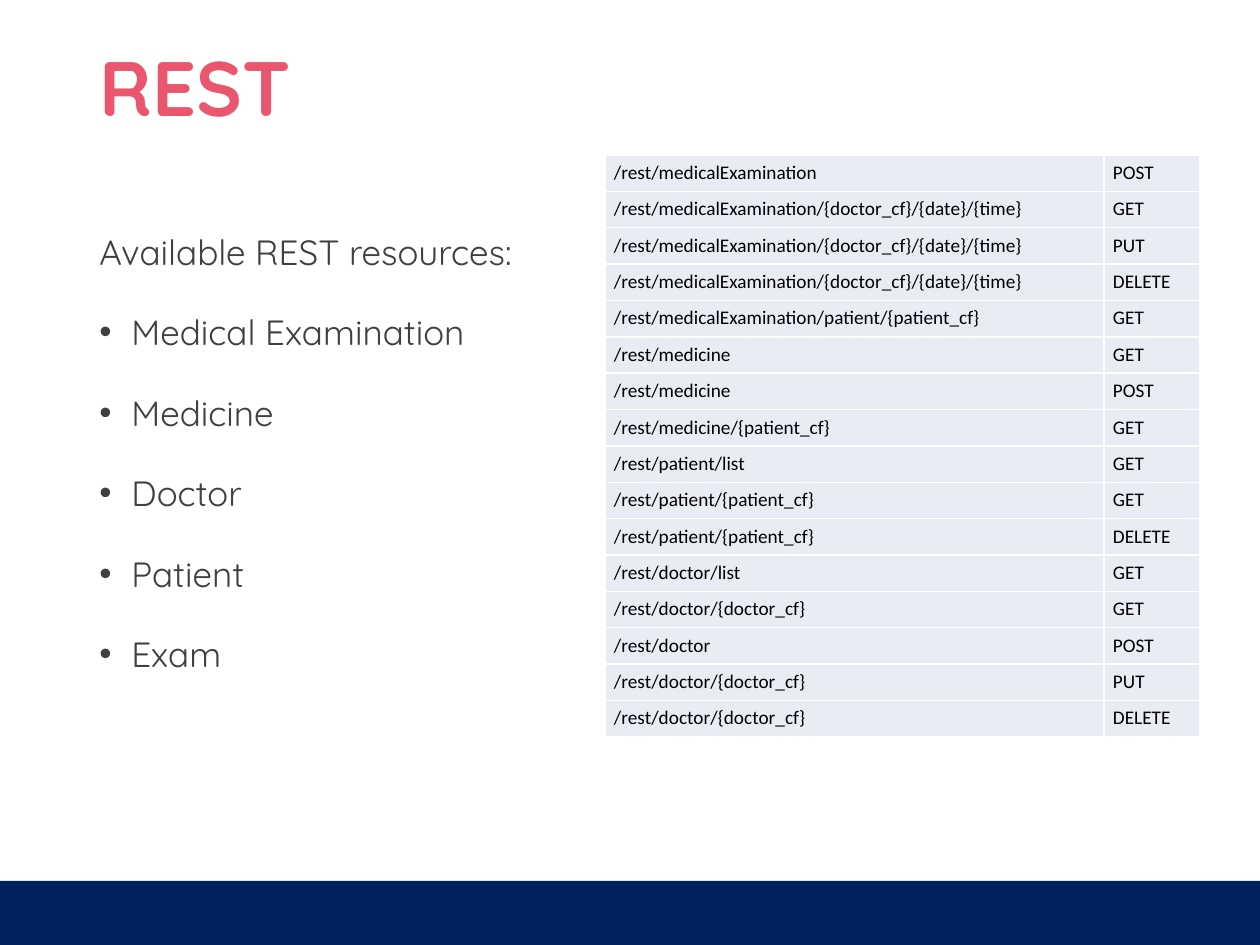
from pptx import Presentation
from pptx.dml.color import RGBColor
from pptx.enum.shapes import MSO_SHAPE as Shape
from pptx.enum.text import MSO_ANCHOR as Anchor, PP_ALIGN as Align
from pptx.oxml.ns import qn
from pptx.util import Inches, Pt
from lxml.etree import SubElement

SCALE = Inches(1) // 126  # EMU per px

NAVY = RGBColor(0x00, 0x20, 0x60)
CORAL = RGBColor(0xEA, 0x56, 0x6D)
GREY = RGBColor(0x40, 0x40, 0x40)
BLACK = RGBColor(0x00, 0x00, 0x00)
WHITE = RGBColor(0xFF, 0xFF, 0xFF)
PALE = RGBColor(0xE9, 0xEB, 0xF5)

RESOURCES = ["Medical Examination", "Medicine", "Doctor", "Patient", "Exam"]

EXAMINATION = "/rest/medicalExamination"
ONE_EXAMINATION = EXAMINATION + "/{doctor_cf}/{date}/{time}"
ONE_PATIENT = "/rest/patient/{patient_cf}"
ONE_DOCTOR = "/rest/doctor/{doctor_cf}"
ENDPOINTS = [
    (EXAMINATION, "POST"),
    (ONE_EXAMINATION, "GET"),
    (ONE_EXAMINATION, "PUT"),
    (ONE_EXAMINATION, "DELETE"),
    (EXAMINATION + "/patient/{patient_cf}", "GET"),
    ("/rest/medicine", "GET"),
    ("/rest/medicine", "POST"),
    ("/rest/medicine/{patient_cf}", "GET"),
    ("/rest/patient/list", "GET"),
    (ONE_PATIENT, "GET"),
    (ONE_PATIENT, "DELETE"),
    ("/rest/doctor/list", "GET"),
    (ONE_DOCTOR, "GET"),
    ("/rest/doctor", "POST"),
    (ONE_DOCTOR, "PUT"),
    (ONE_DOCTOR, "DELETE"),
]


def px(*lengths):
    return [length * SCALE for length in lengths]


class SlideBuilder:
    heading_font = "Quicksand"
    table_font = "Calibri"

    def __init__(self, page):
        self.page = page

    def style(self, para, name, size, color, bold=False):
        font = para.font
        font.name, font.size, font.bold = name, Pt(size), bold
        font.color.rgb = color

    def bar(self, left, top, width, height, color):
        shape = self.page.shapes.add_shape(
            Shape.RECTANGLE, *px(left, top, width, height))
        shape.shadow.inherit = False
        shape.fill.solid()
        shape.fill.fore_color.rgb = color
        shape.line.fill.background()

    def title(self, text, left, top, width, height):
        box = self.page.shapes.title
        box.left, box.top, box.width, box.height = px(left, top, width, height)
        frame = box.text_frame
        frame.text = text
        frame.vertical_anchor = Anchor.MIDDLE
        para = frame.paragraphs[0]
        para.alignment = Align.LEFT
        para.line_spacing = 0.9
        self.style(para, self.heading_font, 44, CORAL, bold=True)

    def bullet(self, para, indent):
        props = para._p.get_or_add_pPr()
        props.set("marL", str(indent * SCALE))
        props.set("indent", str(-indent * SCALE))
        SubElement(props, qn("a:buFont"), typeface="Arial")
        SubElement(props, qn("a:buChar"), char="•")

    def bullet_list(self, intro, items, left, top, width, height):
        box = self.page.shapes.add_textbox(*px(left, top, width, height))
        frame = box.text_frame
        frame.word_wrap = True
        frame.text = "\n".join([intro, *items])
        for index, para in enumerate(frame.paragraphs):
            if index:
                self.bullet(para, 32)
                para.space_before = Pt(10)
            para.line_spacing = 1.5
            self.style(para, self.heading_font, 20, GREY)

    def cell_borders(self, cell, color):
        props = cell._tc.get_or_add_tcPr()
        for side in ("lnL", "lnR", "lnT", "lnB"):
            line = SubElement(props, qn(f"a:{side}"), w=str(Pt(1)))
            fill = SubElement(line, qn("a:solidFill"))
            SubElement(fill, qn("a:srgbClr"), val=str(color))

    def table(self, rows, left, top, widths, height):
        frame = self.page.shapes.add_table(
            len(rows), len(widths), *px(left, top, sum(widths), height))
        table = frame.table
        table.first_row = table.horz_banding = False
        for column, width in zip(table.columns, px(*widths)):
            column.width = width
        for row, texts in zip(table.rows, rows):
            for cell, text in zip(row.cells, texts):
                cell.text = text
                cell.margin_left, cell.margin_right = px(9, 9)
                cell.margin_top, cell.margin_bottom = px(6, 6)
                self.cell_borders(cell, WHITE)
                cell.fill.solid()
                cell.fill.fore_color.rgb = PALE
                para = cell.text_frame.paragraphs[0]
                para.alignment = Align.JUSTIFY
                self.style(para, self.table_font, 11, BLACK)


def main():
    deck = Presentation()
    deck.slide_width, deck.slide_height = px(1260, 945)
    title_only = deck.slide_layouts[5]
    builder = SlideBuilder(deck.slides.add_slide(title_only))

    # Footer band
    builder.bar(0, 881, 1260, 69, NAVY)

    # Heading and resource list
    builder.title("REST", 87, 0, 1086, 183)
    builder.bullet_list("Available REST resources:", RESOURCES,
                        87, 203, 679, 499)

    # Endpoints with their methods
    builder.table(ENDPOINTS, 605, 155, [499, 96], 582)

    deck.save("out.pptx")


if __name__ == "__main__":
    main()
